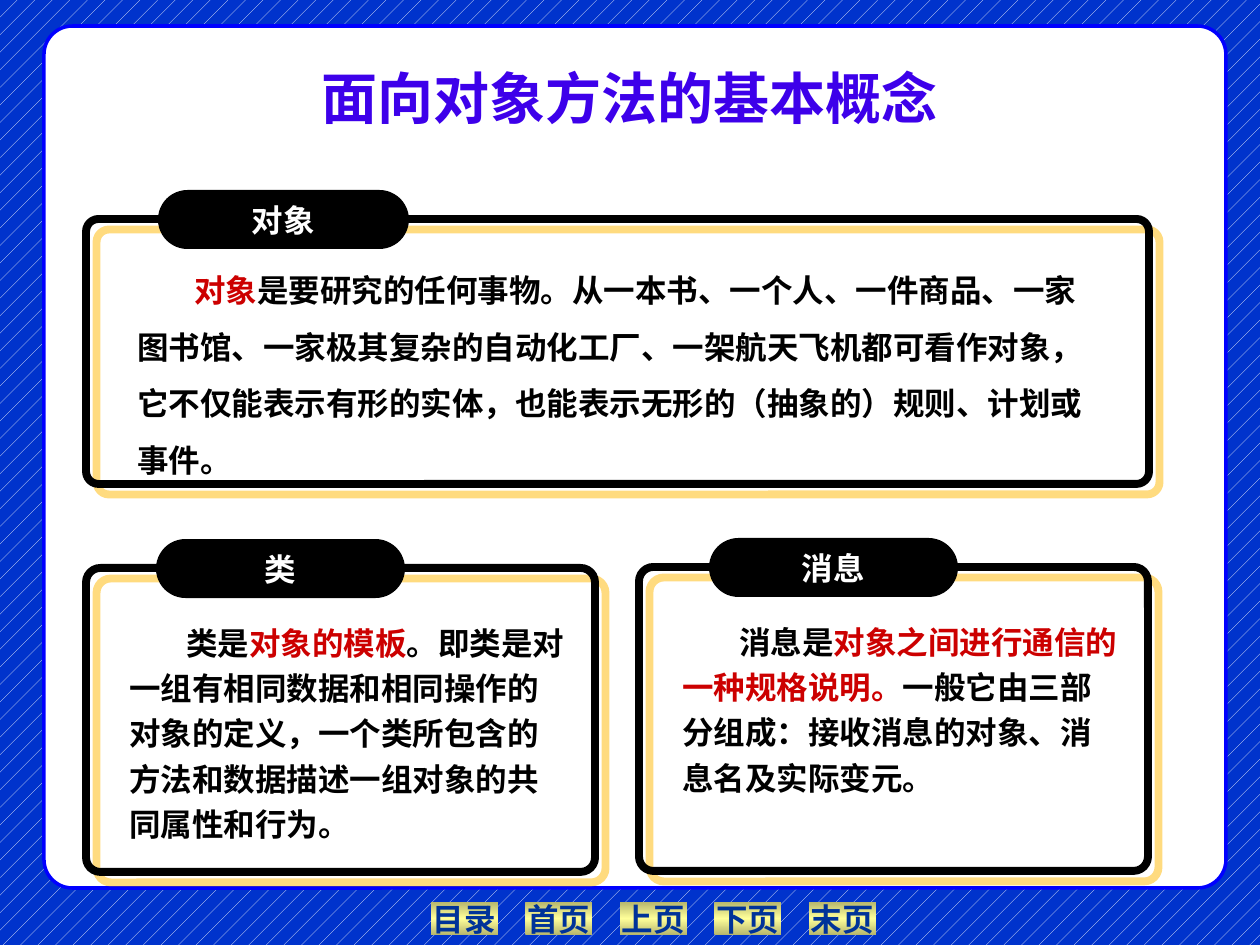
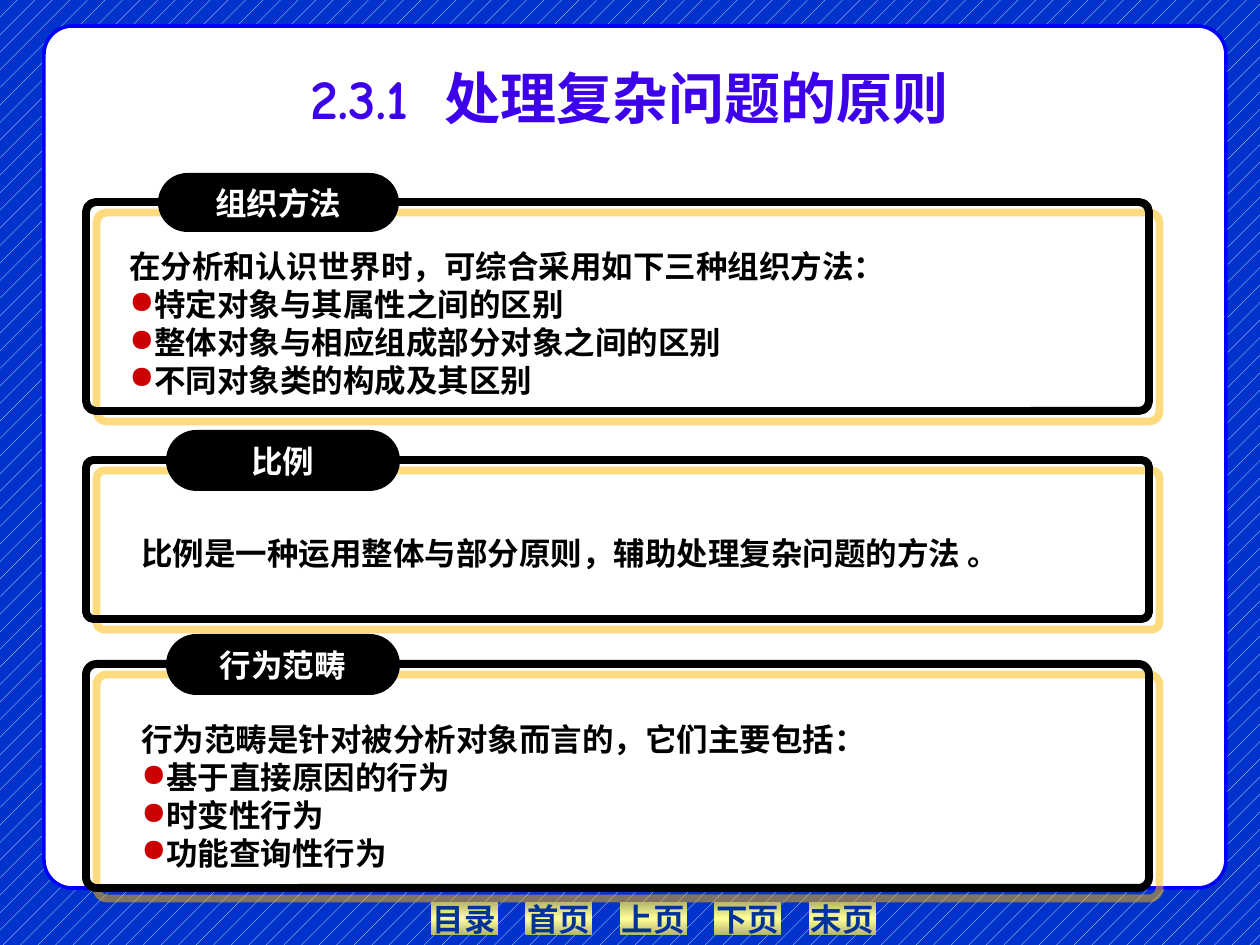
"""Build two slides on object-oriented concepts, with framed cards under a shared title and footer."""
import lxml.etree
import pptx
import pptx.dml.color
import pptx.enum.dml
import pptx.enum.shapes
import pptx.enum.text
import pptx.oxml
import pptx.oxml.ns
import pptx.util

EMU_PER_PX = 914400 / 126
COLOURS = {
    "white": "FFFFFF",
    "black": "000000",
    "backdrop": "0033CC",
    "panel_edge": "0000FF",
    "title": "3D00EA",
    "accent": "CC0000",
    "shadow": "FFB800",
    "nav_text": "003399",
    "nav_dark": "B6B66D",
    "nav_light": "FFFF99",
}
TITLE_FONT = "Comic Neue"
CJK_FONT = "Noto Sans CJK SC"
NAV_FONT = "Times New Roman"
NAV_LABELS = ["目录", "首页", "上页", "下页", "末页"]
SLIDE_BOX = (0, 0, 1260, 945)
NAMESPACE = pptx.oxml.ns.nsdecls("a")
SHAPES = pptx.enum.shapes.MSO_SHAPE
ANCHORS = pptx.enum.text.MSO_ANCHOR
CENTER = pptx.enum.text.PP_ALIGN.CENTER


def px(length):
    """Turn pixels into EMU."""
    return pptx.util.Emu(round(length * EMU_PER_PX))


def rgb(name):
    """Look up a named colour."""
    return pptx.dml.color.RGBColor.from_string(COLOURS[name])


def add_run(paragraph, text, size, colour, font=TITLE_FONT):
    """Add one bold run with its Latin and East Asian fonts."""
    run = paragraph.add_run()
    run.text = text
    run.font.size = pptx.util.Pt(size)
    run.font.bold = True
    run.font.name = font
    run.font.color.rgb = rgb(colour)
    east_asian = lxml.etree.SubElement(run.font._element, pptx.oxml.ns.qn("a:ea"))
    east_asian.set("typeface", CJK_FONT)
    return run


def add_block(slide, kind, box, fill=None, line=None, width=0, corner=None):
    """Add a preset shape with a plain fill and outline."""
    block = slide.shapes.add_shape(kind, *map(px, box))
    block.shadow.inherit = False
    if fill:
        block.fill.solid()
        block.fill.fore_color.rgb = rgb(fill)
    else:
        block.fill.background()
    if line:
        block.line.color.rgb = rgb(line)
        block.line.width = pptx.util.Pt(width)
    else:
        block.line.fill.background()
    if corner is not None:
        block.adjustments[0] = corner
    return block


def add_label(block, text, colour, font):
    """Centre a one-line label in a shape."""
    frame = block.text_frame
    frame.word_wrap = False
    frame.vertical_anchor = ANCHORS.MIDDLE
    frame.paragraphs[0].alignment = CENTER
    add_run(frame.paragraphs[0], text, 18, colour, font)


def add_navigation(slide, box):
    """Lay out the footer buttons at equal steps from the left of the box."""
    left, top, width, height = box
    button_width = 67
    step = (width - button_width) / (len(NAV_LABELS) - 1)
    for index, label in enumerate(NAV_LABELS):
        button = add_block(slide, SHAPES.ACTION_BUTTON_CUSTOM,
                           (left + index * step, top, button_width, height))
        stops = "".join(
            f'<a:gs pos="{position}"><a:srgbClr val="{COLOURS[name]}"/></a:gs>'
            for position, name in [(0, "nav_dark"), (50000, "nav_light"), (100000, "nav_dark")])
        gradient = pptx.oxml.parse_xml(
            f'<a:gradFill {NAMESPACE} rotWithShape="1"><a:gsLst>{stops}</a:gsLst>'
            '<a:lin ang="5400000" scaled="1"/></a:gradFill>')
        properties = button._element.spPr
        plain_fill = properties.find(pptx.oxml.ns.qn("a:noFill"))
        properties.replace(plain_fill, gradient)
        add_label(button, label, "nav_text", NAV_FONT)


def add_title(slide, box, parts):
    """Write the centred title; each part is a text and its letter spacing in points."""
    title = slide.shapes.add_textbox(*map(px, box)).text_frame
    title.word_wrap = True
    title.vertical_anchor = ANCHORS.BOTTOM
    title.paragraphs[0].alignment = CENTER
    for text, spacing in parts:
        run = add_run(title.paragraphs[0], text, 32, "title")
        if spacing:
            run.font._element.set("spc", str(spacing * 100))


def add_base(presentation, title_parts):
    """Start a slide with its backdrop, footer, white panel and title."""
    left, top, width, height = SLIDE_BOX
    slide = presentation.slides.add_slide(presentation.slide_layouts[6])
    backdrop = slide.background.fill
    backdrop.patterned()
    backdrop.pattern = pptx.enum.dml.MSO_PATTERN.PERCENT_5
    backdrop.fore_color.rgb = rgb("white")
    backdrop.back_color.rgb = rgb("backdrop")
    add_navigation(slide, (left + 431, top + height - 43, 445, 33))
    add_block(slide, SHAPES.ROUNDED_RECTANGLE, (left + 44, top + 26, width - 78, height - 83),
              "white", "panel_edge", 2, 0.033)
    add_title(slide, (left + 63, top + 32, width - 126, 105), title_parts)
    return slide


def add_body(slide, box, sentence, bullets, line_spacing, indent):
    """Write the coloured runs of a sentence and any bullets below it."""
    body_box = slide.shapes.add_textbox(*map(px, box))
    body = body_box.text_frame
    body.word_wrap = True
    body.auto_size = pptx.enum.text.MSO_AUTO_SIZE.SHAPE_TO_FIT_TEXT
    lead = body.paragraphs[0]
    if indent:
        lead._p.get_or_add_pPr().set("indent", str(px(indent)))
    if line_spacing:
        lead.line_spacing = line_spacing
    for text, colour in sentence:
        add_run(lead, text, 18, colour)
    for bullet in bullets:
        item = body.add_paragraph()
        properties = item._p.get_or_add_pPr()
        properties.set("marL", "0")
        properties.set("indent", "0")
        properties.append(pptx.oxml.parse_xml(
            f'<a:buClr {NAMESPACE}><a:srgbClr val="{COLOURS["accent"]}"/></a:buClr>'))
        properties.append(pptx.oxml.parse_xml(f'<a:buChar {NAMESPACE} char="●"/>'))
        add_run(item, bullet, 18, "black")


def add_card(slide, box, heading, tab, text_box, sentence, bullets=(), line_spacing=None, indent=0):
    """Draw a framed card; tab is offset, width, height and text_box is relative to the frame."""
    left, top, width, height = box
    text_x, text_y, text_width, text_height = text_box
    tab_x, tab_width, tab_height = tab
    add_body(slide, (left + text_x, top + text_y, text_width, text_height),
             sentence, bullets, line_spacing, indent)
    frame = add_block(slide, SHAPES.ROUNDED_RECTANGLE, box, None, "black", 4.5, 0.047)
    effects = frame._element.spPr.find(pptx.oxml.ns.qn("a:effectLst"))
    effects.append(pptx.oxml.parse_xml(
        f'<a:outerShdw {NAMESPACE} blurRad="0" dist="{pptx.util.Pt(8.5)}" dir="2700000" '
        f'algn="ctr" rotWithShape="0"><a:srgbClr val="{COLOURS["shadow"]}">'
        '<a:alpha val="50000"/></a:srgbClr></a:outerShdw>'))
    heading_tab = add_block(slide, SHAPES.ROUNDED_RECTANGLE,
                            (left + tab_x, top - tab_height // 2, tab_width, tab_height),
                            "black", corner=0.5)
    add_label(heading_tab, heading, "white", CJK_FONT)


def build_concepts(presentation):
    """Build the slide on object, class and message."""
    slide = add_base(presentation, [("面向对象方法的基本概念", 0)])
    half_tab, half_text = (70, 249, 59), (31, 42, 464, 241)
    add_card(slide, (86, 568, 509, 304), "类", half_tab, half_text,
             [("类是", "black"), ("对象的模板", "accent"),
              ("。即类是对一组有相同数据和相同操作的对象的定义，"
               "一个类所包含的方法和数据描述一组对象的共同属性和行为。", "black")],
             line_spacing=1.2, indent=57)
    add_card(slide, (86, 219, 1063, 265), "对象", (72, 251, 59), (39, 27, 993, 241),
             [("对象", "accent"),
              ("是要研究的任何事物。从一本书、一个人、一件商品、一家图书馆、"
               "一家极其复杂的自动化工厂、一架航天飞机都可看作对象，"
               "它不仅能表示有形的实体，也能表示无形的（抽象的）规则、计划或事件。", "black")],
             line_spacing=1.5, indent=57)
    add_card(slide, (639, 567, 509, 304), "消息", half_tab, half_text,
             [("消息是", "black"), ("对象之间进行通信的一种规格说明。", "accent"),
              ("一般它由三部分组成：接收消息的对象、消息名及实际变元。", "black")],
             line_spacing=1.2, indent=57)


def build_principles(presentation):
    """Build the slide on the principles for complex problems."""
    slide = add_base(presentation, [("2.3.1", 0), (" ", 9), ("处理复杂问题的原则", 0)])
    short_tab = (80, 234, 61)
    add_card(slide, (86, 664, 1063, 224), "行为范畴", short_tab, (43, 50, 993, 164),
             [("行为范畴是针对被分析对象而言的，它们主要包括：", "black")],
             ["基于直接原因的行为", "时变性行为", "功能查询性行为"])
    add_card(slide, (86, 202, 1063, 209), "组织方法", (72, 241, 59), (31, 39, 993, 164),
             [("在分析和认识世界时，可综合采用如下三种组织方法：", "black")],
             ["特定对象与其属性之间的区别", "整体对象与相应组成部分对象之间的区别",
              "不同对象类的构成及其区别"])
    add_card(slide, (86, 460, 1063, 159), "比例", short_tab, (43, 49, 993, 69),
             [("比例是一种运用整体与部分原则，辅助处理复杂问题的方法 。", "black")],
             line_spacing=1.5)


def main():
    """Build and save the presentation."""
    presentation = pptx.Presentation()
    presentation.slide_width = px(SLIDE_BOX[2])
    presentation.slide_height = px(SLIDE_BOX[3])
    build_concepts(presentation)
    build_principles(presentation)
    presentation.save("out.pptx")


if __name__ == "__main__":
    main()
